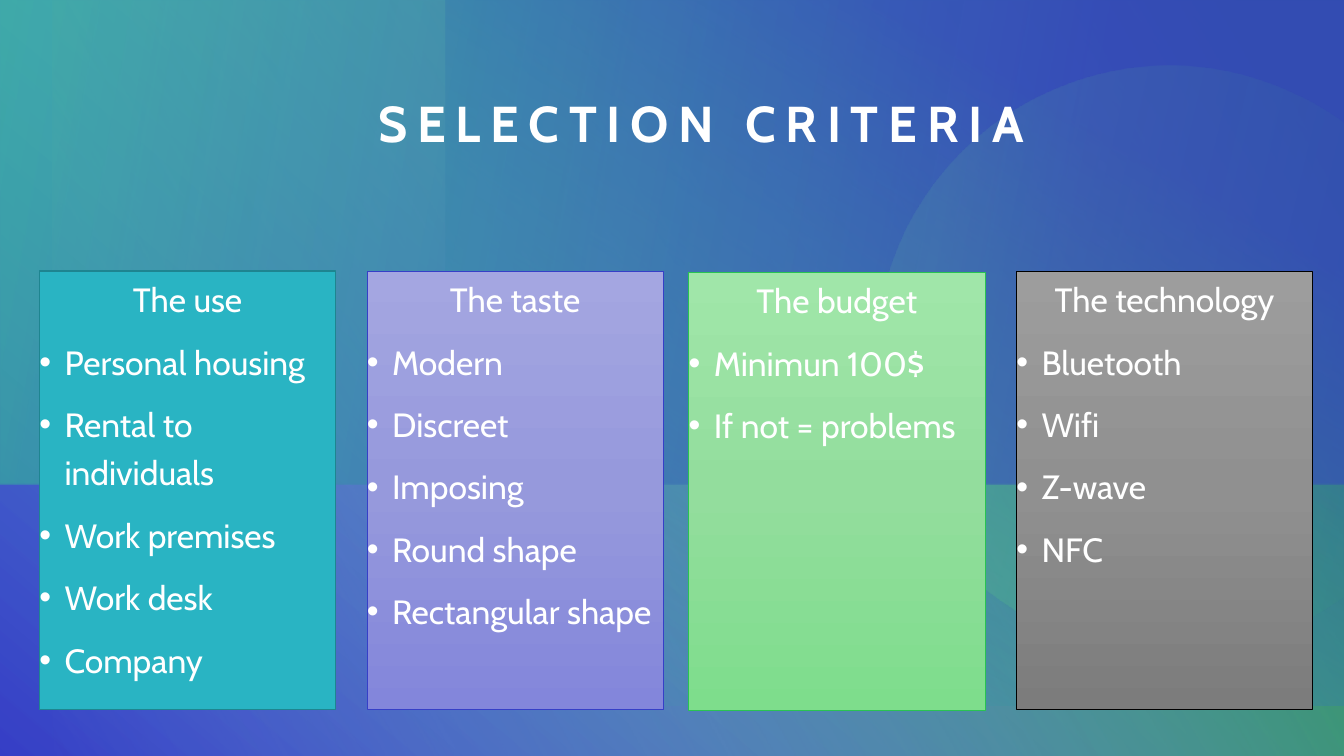
from math import cos, radians, sin

from lxml.etree import SubElement
from pptx import Presentation
from pptx.dml.color import RGBColor
from pptx.enum.shapes import MSO_SHAPE
from pptx.enum.text import MSO_ANCHOR, PP_ALIGN
from pptx.oxml.ns import qn
from pptx.util import Inches, Pt

WIDTH, HEIGHT = Inches(13.333), Inches(7.5)
FONT = "Cabin"

WHITE = RGBColor(0xFF, 0xFF, 0xFF)
BLACK = RGBColor(0x00, 0x00, 0x00)
TEAL = RGBColor(0x29, 0xB4, 0xC3)
DARK_TEAL = RGBColor(0x1E, 0x85, 0x90)
BLUE = RGBColor(0x36, 0x3F, 0xC7)
LAVENDER = RGBColor(0x86, 0x8B, 0xDE)
FOREST = RGBColor(0x1F, 0x92, 0x3E)
SEA_GREEN = RGBColor(0x35, 0xC1, 0x95)
GREEN = RGBColor(0x29, 0xC3, 0x52)
LIGHT_GREEN = RGBColor(0x77, 0xE2, 0x94)
LILACS = [RGBColor(0xA4, 0xA6, 0xE1), RGBColor(0x96, 0x99, 0xDC), RGBColor(0x83, 0x86, 0xDB)]
MINTS = [RGBColor(0xA0, 0xE6, 0xA9), RGBColor(0x93, 0xDD, 0x9D), RGBColor(0x7E, 0xDD, 0x8C)]
GREYS = [RGBColor(0x9D, 0x9D, 0x9D), RGBColor(0x90, 0x90, 0x90), RGBColor(0x7C, 0x7C, 0x7C)]

# Left and top in percent of the slide, fill, outline, outline width, heading, points
CARDS = [
    (2.93, 35.87, [TEAL], DARK_TEAL, 1, "The use",
     ["Personal housing", "Rental to individuals", "Work premises", "Work desk", "Company"]),
    (27.3, 35.87, LILACS, BLUE, 0.5, "The taste",
     ["Modern", "Discreet", "Imposing", "Round shape", "Rectangular shape"]),
    (51.24, 36, MINTS, GREEN, 0.5, "The budget",
     ["Minimun 100$", "If not = problems"]),
    (75.62, 35.87, GREYS, BLACK, 0.5, "The technology",
     ["Bluetooth", "Wifi", "Z-wave", "NFC"]),
]
CARD_SIZE = (22.05, 58)

# Circle cut off by the slide's right edge, in inches
CIRCLE_START = (11.74, 0.65)
CIRCLE_CURVES = [
    [(12.3, 0.68), (12.84, 0.87), (13.31, 1.2)],
    [(13.33, 1.22)],
    [(13.33, 5.91)],
    [(13.1, 6.06)],
    [(11.84, 6.83), (10.17, 6.52), (9.27, 5.31)],
    [(8.3, 4.03), (8.56, 2.2), (9.85, 1.23)],
    [(10.42, 0.81), (11.08, 0.62), (11.74, 0.65)],
]
CIRCLE_CENTRE = (11.56, 3.6)
CIRCLE_TURN = 233.1


def place(left, top, width, height):
    """Turn percentages of the slide into lengths."""
    return (int(WIDTH * left / 100), int(HEIGHT * top / 100),
            int(WIDTH * width / 100), int(HEIGHT * height / 100))


def set_gradient(sp, stops, angle):
    """Fill with (position, colour, opacity) stops, all in percent."""
    sp.fill.gradient()
    grad = sp._element.spPr.find(qn("a:gradFill"))
    for child in list(grad):
        grad.remove(child)
    stop_list = SubElement(grad, qn("a:gsLst"))
    for position, colour, opacity in stops:
        stop = SubElement(stop_list, qn("a:gs"), pos=str(position * 1000))
        rgb = SubElement(stop, qn("a:srgbClr"), val=str(colour))
        if opacity < 100:
            SubElement(rgb, qn("a:alpha"), val=str(opacity * 1000))
    SubElement(grad, qn("a:lin"), ang=str(angle * 60000), scaled="0")


def add_wash(s, area, stops, angle, flip=True):
    sp = s.shapes.add_shape(MSO_SHAPE.RECTANGLE, *place(*area))
    sp.shadow.inherit = False
    sp.line.fill.background()
    sp.rotation = 180
    if flip:
        sp._element.spPr.xfrm.set("flipH", "1")
    set_gradient(sp, stops, angle)


def curve_points(start, curve, steps=24):
    """Points along a straight line or a cubic curve."""
    if len(curve) == 1:
        return curve
    a, b, c, d = start, *curve
    points = []
    for i in range(1, steps + 1):
        t = i / steps
        u = 1 - t
        points.append(tuple(u**3 * a[k] + 3 * u * u * t * b[k] + 3 * u * t * t * c[k]
                            + t**3 * d[k] for k in (0, 1)))
    return points


def add_circle(s):
    points = [CIRCLE_START]
    for curve in CIRCLE_CURVES:
        points += curve_points(points[-1], curve)
    # Turn the outline back, so that the shape's rotation restores it
    cx, cy = CIRCLE_CENTRE
    co, si = cos(radians(CIRCLE_TURN)), sin(radians(CIRCLE_TURN))
    turned = [(Inches(cx + (x - cx) * co + (y - cy) * si),
               Inches(cy - (x - cx) * si + (y - cy) * co)) for x, y in points]
    builder = s.shapes.build_freeform(*turned[0])
    builder.add_line_segments(turned[1:], close=True)
    sp = builder.convert_to_shape()
    # Keep the pivot in place after the bounding box is known
    dx = sp.left + sp.width / 2 - Inches(cx)
    dy = sp.top + sp.height / 2 - Inches(cy)
    sp.left += int(dx * co - dy * si - dx)
    sp.top += int(dx * si + dy * co - dy)
    sp.rotation = CIRCLE_TURN
    sp.shadow.inherit = False
    sp.line.fill.background()
    set_gradient(sp, [(16, GREEN, 0), (85, LIGHT_GREEN, 29)], 320)


def prepare_frame(sp, anchor):
    tf = sp.text_frame
    tf.word_wrap = True
    tf.vertical_anchor = anchor
    tf.margin_left = tf.margin_right = tf.margin_top = tf.margin_bottom = 0
    return tf


def style_run(r, size, bold=False):
    r.font.name = FONT
    r.font.size = Pt(size)
    r.font.bold = bold
    r.font.color.rgb = WHITE


def add_title(s, text):
    sp = s.shapes.add_textbox(*place(10.2, 8.67, 84, 11.47))
    p = prepare_frame(sp, MSO_ANCHOR.BOTTOM).paragraphs[0]
    p.text = text
    p.alignment = PP_ALIGN.CENTER
    r = p.runs[0]
    style_run(r, 36, bold=True)
    r.font._element.set("spc", "700")


def add_bullet(p):
    pPr = p._p.get_or_add_pPr()
    pPr.set("marL", str(Inches(0.25)))
    pPr.set("indent", str(-Inches(0.25)))
    SubElement(pPr, qn("a:buFont"), typeface="Arial")
    SubElement(pPr, qn("a:buChar"), char="•")


def add_card(s, left, top, colours, outline, weight, heading, points):
    sp = s.shapes.add_shape(MSO_SHAPE.RECTANGLE, *place(left, top, *CARD_SIZE))
    sp.shadow.inherit = False
    if len(colours) == 1:
        sp.fill.solid()
        sp.fill.fore_color.rgb = colours[0]
    else:
        set_gradient(sp, [(50 * i, c, 100) for i, c in enumerate(colours)], 90)
    sp.line.color.rgb = outline
    sp.line.width = Pt(weight)

    tf = prepare_frame(sp, MSO_ANCHOR.TOP)
    tf.text = "\n".join([heading, *points])
    for i, p in enumerate(tf.paragraphs):
        p.alignment = PP_ALIGN.LEFT if i else PP_ALIGN.CENTER
        if i:
            add_bullet(p)
            p.space_before = Pt(10)
        p.line_spacing = 1.2
        style_run(p.runs[0], 24)


def main():
    prs = Presentation()
    prs.slide_width, prs.slide_height = WIDTH, HEIGHT
    s = prs.slides.add_slide(prs.slide_layouts[6])

    # Layered background
    add_wash(s, (0, 0, 100, 100), [(0, TEAL, 61), (100, BLUE, 100)], 230)
    add_wash(s, (3.94, 0, 96.06, 100), [(6, FOREST, 93), (100, LAVENDER, 0)], 330, flip=False)
    add_wash(s, (33.12, 0, 66.88, 93.33), [(22, BLUE, 68), (99, SEA_GREEN, 0)], 240)
    add_circle(s)
    add_wash(s, (0, 0, 100, 64.13), [(22, BLUE, 49), (99, SEA_GREEN, 62)], 170)

    # Title and criteria
    add_title(s, "SELECTION CRITERIA")
    for card in CARDS:
        add_card(s, *card)

    prs.save("out.pptx")


if __name__ == "__main__":
    main()
